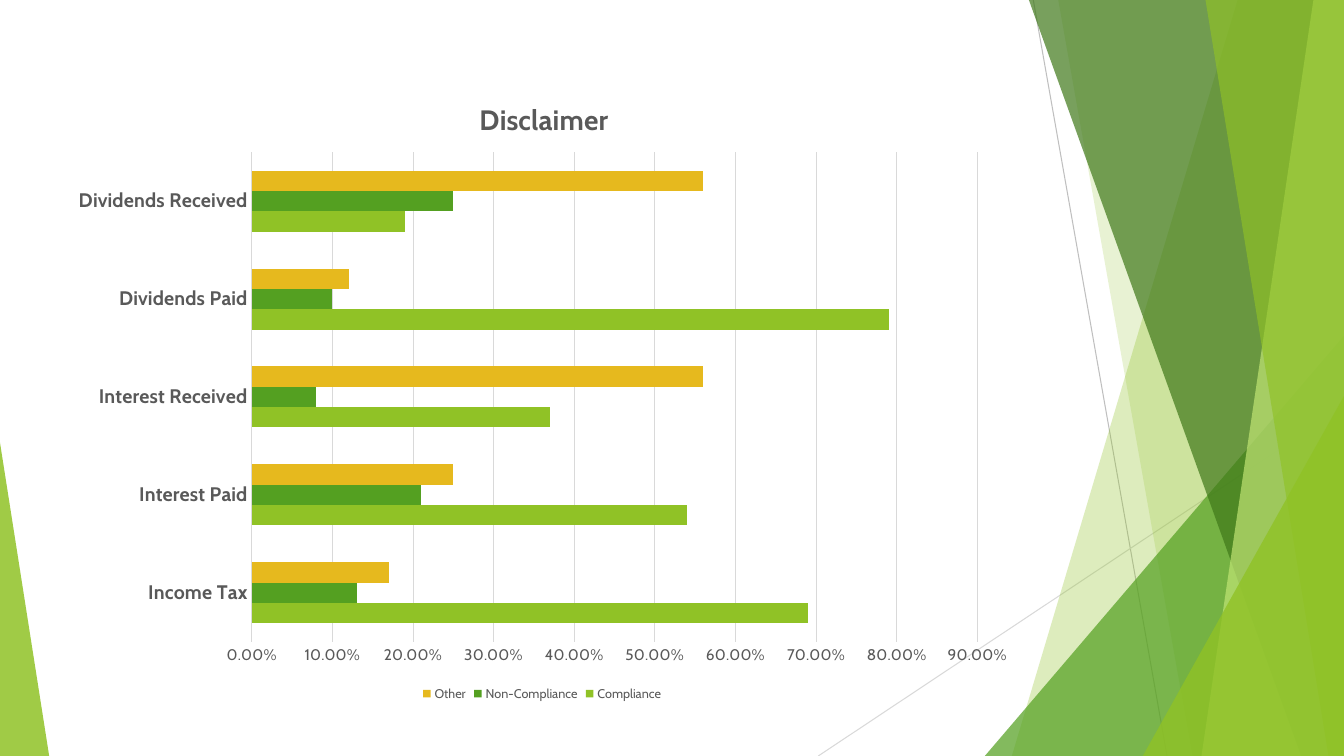
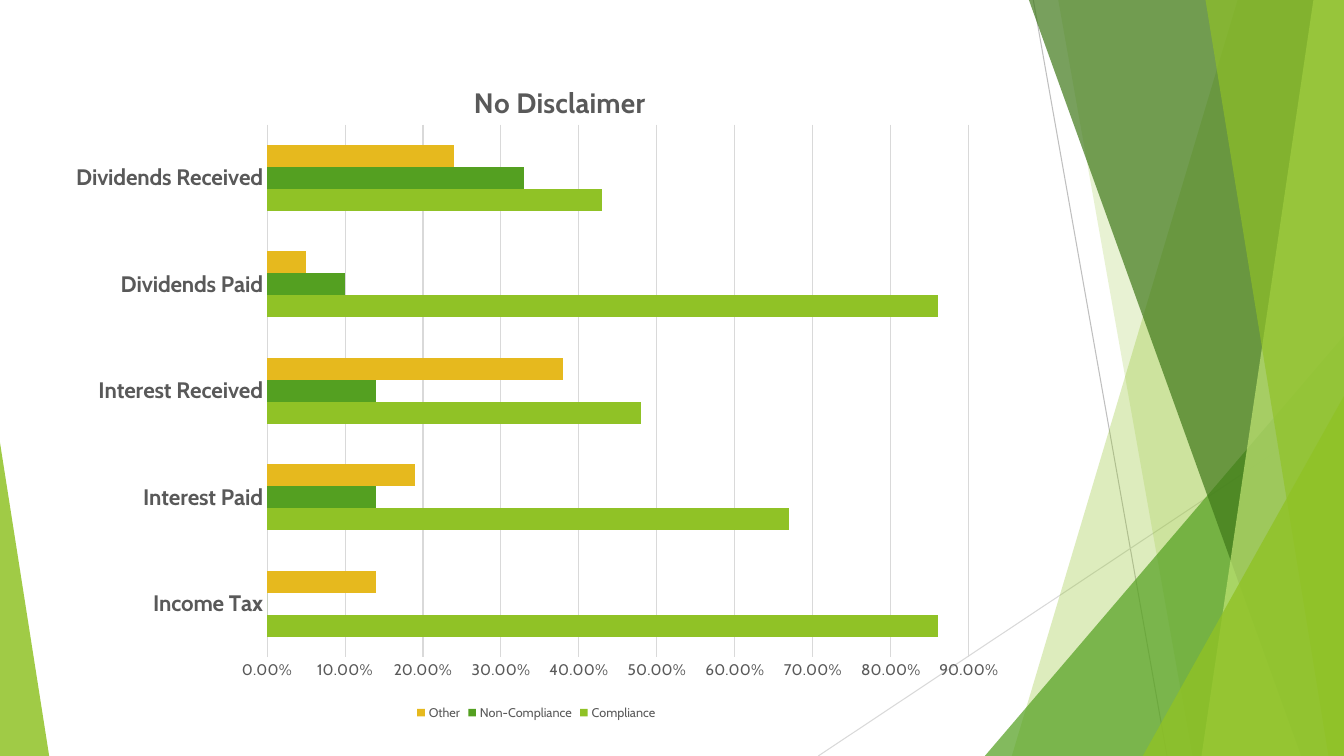
from lxml import etree
from pptx import Presentation
from pptx.chart import data
from pptx.dml.color import RGBColor
from pptx.enum import chart as charts, shapes
from pptx.oxml import ns
from pptx.util import Cm, Pt

WIDTH, HEIGHT = 33.87, 19.05
FONT = "Cabin"
COLORS = {
    "lime": "90C226",
    "green": "54A021",
    "forest": "3F7819",
    "pale": "C0E474",
    "gold": "E6B91E",
    "text": "595959",
    "grid": "D9D9D9",
    "ray": "BFBFBF",
}
CATEGORIES = ["Income Tax", "Interest Paid", "Interest Received",
              "Dividends Paid", "Dividends Received"]
SERIES_COLORS = {"Compliance": "lime", "Non-Compliance": "green", "Other": "gold"}


class Deck:
    def __init__(self):
        self.presentation = Presentation()
        self.presentation.slide_width = Cm(WIDTH)
        self.presentation.slide_height = Cm(HEIGHT)
        self.layout = self.presentation.slide_layouts[6]
        self.slide = None

    def add_slide(self):
        self.slide = self.presentation.slides.add_slide(self.layout)

    def color(self, name):
        return RGBColor.from_string(COLORS[name])

    def style_line(self, line, color):
        line.color.rgb = self.color(color)
        line.width = Pt(0.75)

    def style_font(self, font, size, bold=False):
        font.name = FONT
        font.size = Pt(size)
        font.bold = bold
        font.color.rgb = self.color("text")

    def paint(self, shape, color, opacity):
        shape.shadow.inherit = False
        shape.line.fill.background()
        shape.fill.solid()
        shape.fill.fore_color.rgb = self.color(color)
        fill = shape._element.spPr.find(ns.qn("a:solidFill"))
        etree.SubElement(fill[0], ns.qn("a:alpha"), val=str(opacity * 1000))

    def ray(self, start, end, color):
        connector = self.slide.shapes.add_connector(
            shapes.MSO_CONNECTOR.STRAIGHT, *map(Cm, start + end))
        self.style_line(connector.line, color)
        etree.SubElement(connector._element.spPr, ns.qn("a:effectLst"))

    def beam(self, top_x, bottom_x, color, opacity):
        builder = self.slide.shapes.build_freeform(Cm(top_x), 0)
        corners = [(WIDTH, 0), (WIDTH, HEIGHT), (bottom_x, HEIGHT)]
        builder.add_line_segments([(Cm(x), Cm(y)) for x, y in corners])
        self.paint(builder.convert_to_shape(), color, opacity)

    def corner(self, left, top, width, apex, color, opacity):
        triangle = self.slide.shapes.add_shape(
            shapes.MSO_SHAPE.ISOSCELES_TRIANGLE,
            Cm(left), Cm(top), Cm(width), Cm(HEIGHT - top))
        triangle.adjustments[0] = apex
        self.paint(triangle, color, opacity)

    def share_shapes(self):
        for shape in list(self.slide.shapes):
            self.layout.shapes._spTree.append(shape._element)

    def place(self, element, index, **position):
        for layout in element.findall(ns.qn("c:layout")):
            element.remove(layout)
        layout = etree.Element(ns.qn("c:layout"))
        manual = etree.SubElement(layout, ns.qn("c:manualLayout"))
        if "w" in position:
            etree.SubElement(manual, ns.qn("c:layoutTarget"), val="inner")
        for axis in "xy":
            etree.SubElement(manual, ns.qn(f"c:{axis}Mode"), val="edge")
        for name, value in position.items():
            etree.SubElement(manual, ns.qn(f"c:{name}"), val=str(value))
        element.insert(index, layout)

    def bar_chart(self, title, box, plot_box, label_size, values):
        chart_data = data.CategoryChartData(number_format="0.00%")
        chart_data.categories = CATEGORIES
        for name, series_values in zip(SERIES_COLORS, values):
            chart_data.add_series(name, series_values)
        chart = self.slide.shapes.add_chart(
            charts.XL_CHART_TYPE.BAR_CLUSTERED, *map(Cm, box), chart_data).chart
        self.style_font(chart.font, 10)

        chart.has_title = True
        paragraph = chart.chart_title.text_frame.paragraphs[0]
        paragraph.text = title
        self.style_font(paragraph.runs[0].font, 20, bold=True)
        self.place(chart.chart_title._element, 1, x=0.43, y=0.04)
        plot_area = chart._chartSpace.chart.plotArea
        self.place(plot_area, 0, **dict(zip("xywh", plot_box)))

        chart.has_legend = True
        chart.legend.position = charts.XL_LEGEND_POSITION.BOTTOM
        chart.legend.include_in_layout = False
        self.style_font(chart.legend.font, 9)

        plot = chart.plots[0]
        plot.gap_width = 182
        plot.overlap = 0
        plot.vary_by_categories = False
        for series, color in zip(plot.series, SERIES_COLORS.values()):
            series.format.fill.solid()
            series.format.fill.fore_color.rgb = self.color(color)

        for axis in (chart.category_axis, chart.value_axis):
            axis.major_tick_mark = charts.XL_TICK_MARK.NONE
            axis.minor_tick_mark = charts.XL_TICK_MARK.NONE
        self.style_font(chart.category_axis.tick_labels.font, label_size, bold=True)
        self.style_line(chart.category_axis.format.line, "grid")

        value_axis = chart.value_axis
        value_axis.minimum_scale = 0
        value_axis.maximum_scale = 0.9
        value_axis.major_unit = 0.1
        value_axis.tick_labels.number_format = "0.00%"
        value_axis.tick_labels.number_format_is_linked = False
        self.style_font(value_axis.tick_labels.font, 11)
        value_axis.format.line.fill.background()
        value_axis.has_major_gridlines = True
        self.style_line(value_axis.major_gridlines.format.line, "grid")


deck = Deck()

deck.add_slide()
deck.ray((26.04, 0), (29.41, HEIGHT), "ray")
deck.ray((WIDTH, 10.24), (20.62, HEIGHT), "grid")
deck.beam(31.19, 25.5, "lime", 30)
deck.beam(26.67, 30.05, "lime", 20)
deck.corner(24.82, 8.46, 9.05, 1, "green", 72)
deck.beam(25.93, 32.79, "forest", 70)
deck.beam(33.1, 30.28, "pale", 70)
deck.beam(30.38, 33.48, "lime", 65)
deck.corner(28.8, 9.98, 5.07, 1, "lime", 80)
deck.corner(0, 11.15, 1.24, 0, "lime", 85)
deck.share_shapes()

deck.bar_chart(
    "Disclaimer", (1.47, 1.75, 24.38, 16.03), (0.2, 0.13, 0.75, 0.77), 14,
    [(0.69, 0.54, 0.37, 0.79, 0.19),
     (0.13, 0.21, 0.08, 0.1, 0.25),
     (0.17, 0.25, 0.56, 0.12, 0.56)])

deck.add_slide()
deck.bar_chart(
    "No Disclaimer", (1.4, 1.27, 24.23, 16.99), (0.22, 0.11, 0.73, 0.79), 16,
    [(0.86, 0.67, 0.48, 0.86, 0.43),
     (0, 0.14, 0.14, 0.1, 0.33),
     (0.14, 0.19, 0.38, 0.05, 0.24)])

deck.presentation.save("out.pptx")
